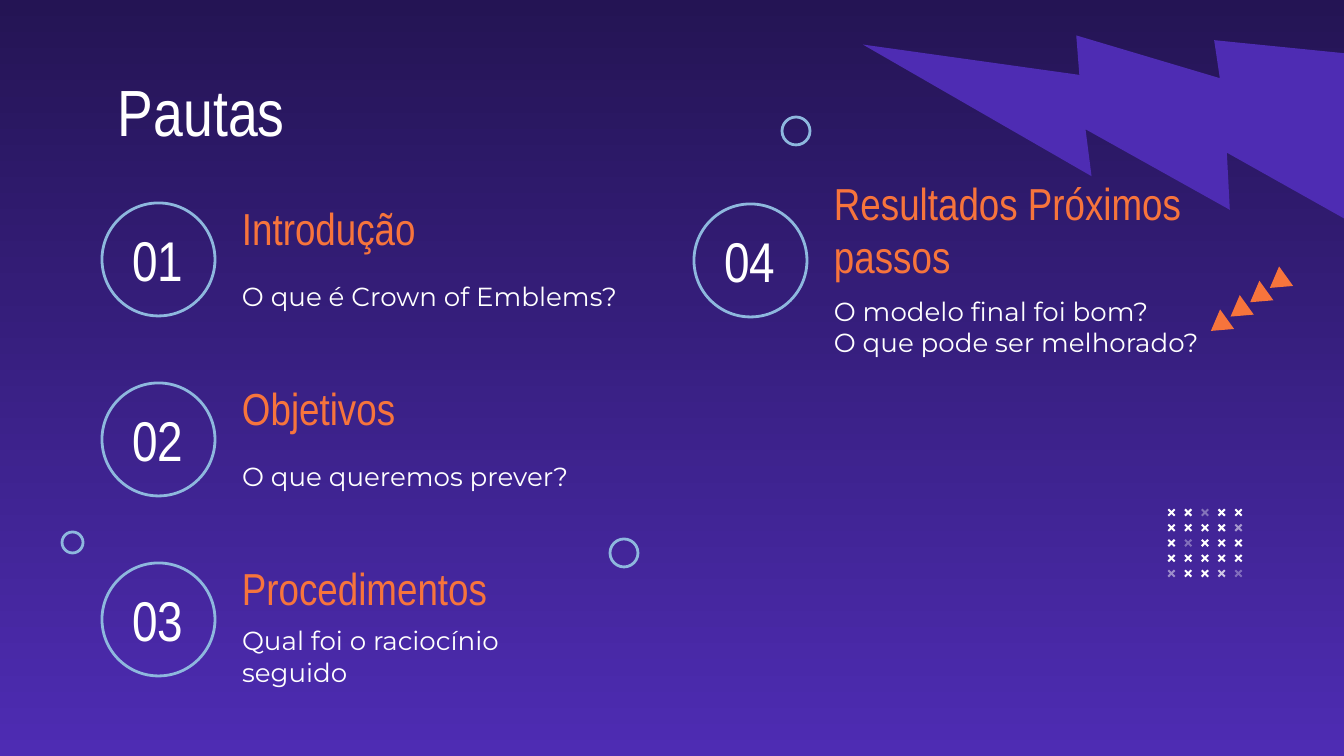
from dataclasses import dataclass
from typing import NamedTuple

from lxml.etree import SubElement
from pptx import Presentation
from pptx.dml.color import RGBColor
from pptx.enum.shapes import MSO_SHAPE as Shape
from pptx.enum.text import MSO_ANCHOR as Anchor, MSO_AUTO_SIZE as AutoSize, PP_ALIGN as Align
from pptx.oxml.ns import qn
from pptx.util import Pt

PAGE_WIDTH, PAGE_HEIGHT = 1344, 756
EMU_PER_PX = 9144000 / PAGE_WIDTH
TITLE_ONLY = 5


@dataclass(frozen=True)
class Theme:
    night: str = "241454"
    violet: str = "4E2CB3"
    orange: str = "F7743C"
    sky: str = "8EB8DE"
    white: str = "FFFFFF"
    display_font: str = "Arial Narrow"
    body_font: str = "Montserrat"
    title_size: int = 35
    number_size: int = 30
    heading_size: int = 24
    body_size: int = 14
    outline: float = 1.5
    inset: int = 13


THEME = Theme()


class Box(NamedTuple):
    left: int
    top: int
    width: int
    height: int

    def inner(self, left, top, width, height):
        """Return a box placed relative to this one's corner."""
        return Box(self.left + left, self.top + top, width, height)


class Topic(NamedTuple):
    box: Box
    heading: str
    detail: str
    detail_box: Box


SHORT_DETAIL = Box(127, 50, 371, 86)
TOPICS = [
    Topic(Box(102, 203, 113, 113), "Introdução", "O que é Crown of Emblems?",
          Box(127, 50, 427, 86)),
    Topic(Box(102, 383, 113, 113), "Objetivos", "O que queremos prever?", SHORT_DETAIL),
    Topic(Box(102, 563, 113, 113), "Procedimentos", "Qual foi o raciocínio seguido",
          SHORT_DETAIL),
    Topic(Box(694, 204, 113, 113), "Resultados Próximos passos",
          "O modelo final foi bom?\nO que pode ser melhorado?", Box(127, 66, 450, 113)),
]

SMALL_RINGS = [Box(62, 532, 21, 21), Box(782, 117, 28, 28), Box(610, 539, 28, 28)]

# Opacity in percent of the faded crosses, by (row, column)
FADED_CROSSES = {(0, 2): 36, (1, 4): 53, (2, 1): 34, (4, 0): 48, (4, 3): 75, (4, 4): 33}


def emu(box):
    return [round(length * EMU_PER_PX) for length in box]


def add_shape(page, kind, box, fill=None, line=None, rotation=0):
    shape = page.shapes.add_shape(kind, *emu(box))
    shape.shadow.inherit = False
    shape.rotation = rotation
    if fill:
        shape.fill.solid()
        shape.fill.fore_color.rgb = RGBColor.from_string(fill)
    else:
        shape.fill.background()
    if line:
        shape.line.color.rgb = RGBColor.from_string(line)
        shape.line.width = Pt(THEME.outline)
    else:
        shape.line.fill.background()
    return shape


def add_ring(page, box):
    add_shape(page, Shape.OVAL, box, line=THEME.sky)


def write_text(holder, text, size, color, font=THEME.display_font,
               anchor=Anchor.MIDDLE, align=Align.LEFT):
    frame = holder.text_frame
    frame.text = text
    frame.word_wrap = True
    frame.auto_size = AutoSize.NONE
    frame.vertical_anchor = anchor
    inset = round(THEME.inset * EMU_PER_PX)
    frame.margin_left = frame.margin_right = inset
    frame.margin_top = frame.margin_bottom = inset
    for para in frame.paragraphs:
        para.alignment = align
        for span in para.runs:
            span.font.size = Pt(size)
            span.font.name = font
            span.font.color.rgb = RGBColor.from_string(color)


def add_text(page, box, text, size, color, **style):
    write_text(page.shapes.add_textbox(*emu(box)), text, size, color, **style)


def paint_background(page):
    fill = page.background.fill
    fill.gradient()
    fill.gradient_angle = 270
    for stop, color in zip(fill.gradient_stops, (THEME.night, THEME.violet)):
        stop.color.rgb = RGBColor.from_string(color)


def add_bolt(page, box):
    bolt = add_shape(page, Shape.LIGHTNING_BOLT, box, fill=THEME.violet, rotation=59.9)
    bolt._element.spPr.xfrm.set("flipH", "1")


def place_title(page, box, text):
    title = page.shapes.title
    title.left, title.top, title.width, title.height = emu(box)
    write_text(title, text, THEME.title_size, THEME.white, anchor=Anchor.TOP)


def add_topic(page, number, topic):
    """Place a ringed number with its heading and detail; the box is the ring's."""
    box = topic.box
    add_ring(page, box)
    add_text(page, box.inner(-4, -8, 120, 129), f"{number:02}", THEME.number_size,
             THEME.white, align=Align.CENTER)
    add_text(page, box.inner(127, 0, 458, 50), topic.heading, THEME.heading_size,
             THEME.orange)
    add_text(page, box.inner(*topic.detail_box), topic.detail, THEME.body_size,
             THEME.white, font=THEME.body_font)


def add_cross_grid(page, box, count=5, size=9):
    step_x = (box.width - size) / (count - 1)
    step_y = (box.height - size) / (count - 1)
    for row in range(count):
        for column in range(count):
            cross = add_shape(page, Shape.CROSS,
                              box.inner(column * step_x, row * step_y, size, size),
                              fill=THEME.white, rotation=315)
            cross.adjustments[0] = 0.39
            if (row, column) in FADED_CROSSES:
                color = cross._element.spPr.find(".//" + qn("a:srgbClr"))
                opacity = FADED_CROSSES[row, column] * 1000
                SubElement(color, qn("a:alpha")).set("val", str(opacity))


def add_triangle_trail(page, box, count=4, width=24, height=20):
    """Step triangles from the box's top right corner to its bottom left."""
    step_x = (box.width - width) / (count - 1)
    step_y = (box.height - height) / (count - 1)
    for index in range(count):
        left = box.width - width - index * step_x
        add_shape(page, Shape.ISOSCELES_TRIANGLE,
                  box.inner(left, index * step_y, width, height),
                  fill=THEME.orange, rotation=234.2)


def main():
    deck = Presentation()
    deck.slide_width, deck.slide_height = emu((PAGE_WIDTH, PAGE_HEIGHT))
    page = deck.slides.add_slide(deck.slide_layouts[TITLE_ONLY])
    paint_background(page)
    add_bolt(page, Box(941, -91, 426, 426))
    place_title(page, Box(105, 58, 1133, 86), "Pautas")
    for number, topic in enumerate(TOPICS, start=1):
        add_topic(page, number, topic)
    add_cross_grid(page, Box(1167, 508, 76, 70))
    for box in SMALL_RINGS:
        add_ring(page, box)
    add_triangle_trail(page, Box(1207, 272, 83, 63))
    deck.save("out.pptx")


if __name__ == "__main__":
    main()
